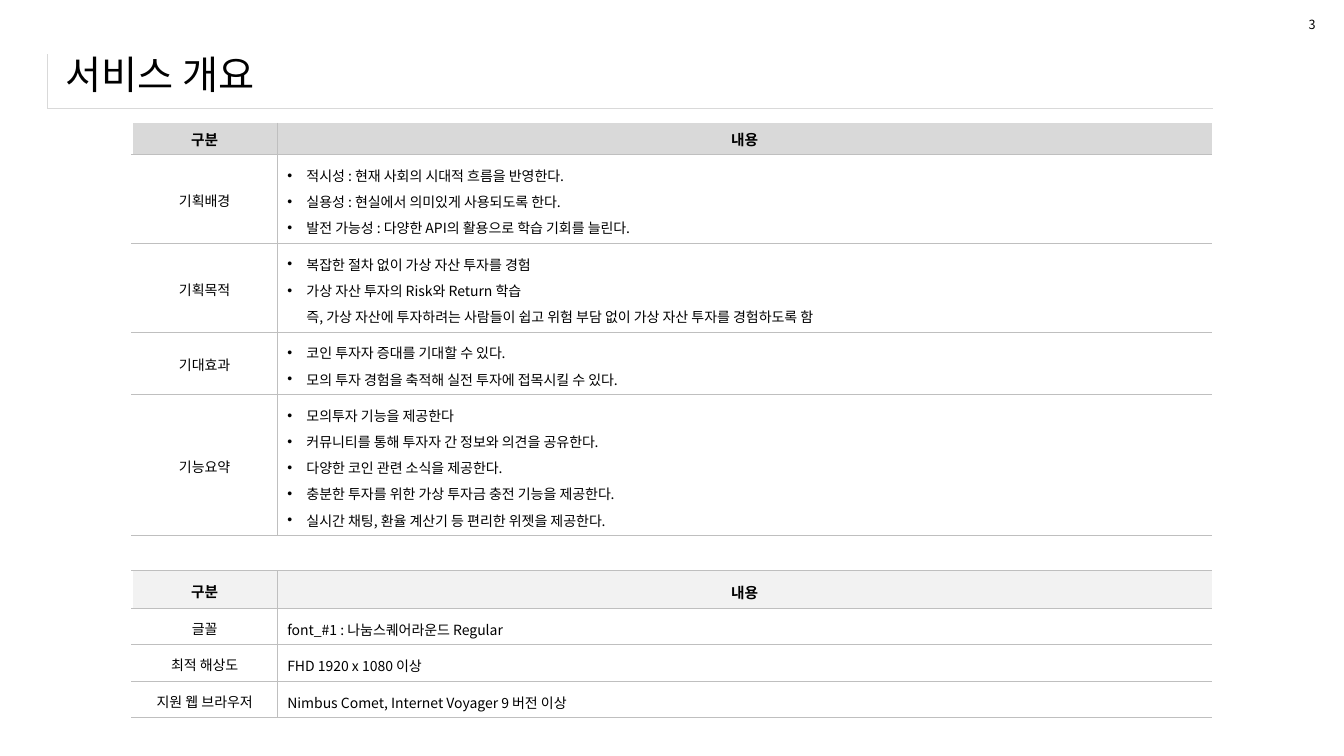
from lxml.etree import SubElement
from pptx import Presentation
from pptx.dml.color import RGBColor
from pptx.enum.text import MSO_ANCHOR, MSO_AUTO_SIZE, PP_ALIGN
from pptx.oxml.ns import qn
from pptx.util import Inches, Pt

FONT = "Noto Sans CJK KR"
BLACK = RGBColor(0x00, 0x00, 0x00)
WHITE = RGBColor(0xFF, 0xFF, 0xFF)
RULE_GREY = RGBColor(0xBF, 0xBF, 0xBF)
FRAME_GREY = RGBColor(0xD9, 0xD9, 0xD9)
PALE_GREY = RGBColor(0xF2, 0xF2, 0xF2)

TITLE = "서비스 개요"
PAGE_NUMBER = "3"
HEADINGS = ("구분", "내용")
BULLET, CONTINUED, PLAIN = "bullet", "continued", "plain"

# Label, row height, then (kind, text) lines
OVERVIEW = [
    ("기획배경", 0.84, [
        (BULLET, "적시성 : 현재 사회의 시대적 흐름을 반영한다."),
        (BULLET, "실용성 : 현실에서 의미있게 사용되도록 한다."),
        (BULLET, "발전 가능성 : 다양한 API의 활용으로 학습 기회를 늘린다."),
    ]),
    ("기획목적", 0.84, [
        (BULLET, "복잡한 절차 없이 가상 자산 투자를 경험"),
        (BULLET, "가상 자산 투자의 Risk와 Return 학습"),
        (CONTINUED, "즉, 가상 자산에 투자하려는 사람들이 쉽고 위험 부담 없이 "
                    "가상 자산 투자를 경험하도록 함"),
    ]),
    ("기대효과", 0.59, [
        (BULLET, "코인 투자자 증대를 기대할 수 있다."),
        (BULLET, "모의 투자 경험을 축적해 실전 투자에 접목시킬 수 있다."),
    ]),
    ("기능요약", 1.33, [
        (BULLET, "모의투자 기능을 제공한다"),
        (BULLET, "커뮤니티를 통해 투자자 간 정보와 의견을 공유한다."),
        (BULLET, "다양한 코인 관련 소식을 제공한다."),
        (BULLET, "충분한 투자를 위한 가상 투자금 충전 기능을 제공한다."),
        (BULLET, "실시간 채팅, 환율 계산기 등 편리한 위젯을 제공한다."),
    ]),
]
ENVIRONMENT = [
    ("글꼴", 0.34, [(PLAIN, "font_#1 : 나눔스퀘어라운드 Regular")]),
    ("최적 해상도", 0.34, [(PLAIN, "FHD 1920 x 1080 이상")]),
    ("지원 웹 브라우저", 0.34, [(PLAIN, "Nimbus Comet, Internet Voyager 9 버전 이상")]),
]
HEADER_HEIGHT, GAP_HEIGHT = 0.28, 0.35
COLUMN_WIDTHS = (1.44, 9.27)
HANGING = Inches(0.19)


def set_font(para, size, bold=False):
    """Format a paragraph for both Latin and Korean letters."""
    font = para.font
    font.size, font.bold, font.name = Pt(size), bold, FONT
    font.color.rgb = BLACK
    defaults = para._p.pPr.find(qn("a:defRPr"))
    SubElement(defaults, qn("a:ea")).set("typeface", FONT)


def write_cell(cell, lines, size, align, spacing, bold=False):
    cell.vertical_anchor = MSO_ANCHOR.MIDDLE
    frame = cell.text_frame
    for index, (kind, text) in enumerate(lines):
        para = frame.add_paragraph() if index else frame.paragraphs[0]
        para.text = text
        para.alignment, para.line_spacing = align, spacing
        if kind != PLAIN:
            properties = para._p.get_or_add_pPr()
            properties.set("marL", str(HANGING))
            properties.set("indent", str(-HANGING if kind == BULLET else 0))
            if kind == BULLET:
                SubElement(properties, qn("a:buFont")).set("typeface", "Arial")
                SubElement(properties, qn("a:buChar")).set("char", "•")
        set_font(para, size, bold)


def shrink_empty(cell):
    """Keep an empty cell from growing its row."""
    end = SubElement(cell.text_frame.paragraphs[0]._p, qn("a:endParaRPr"))
    end.set("sz", "1000")


def set_borders(cell, **sides):
    """Draw the given sides as (colour, points); leave the others empty."""
    properties = cell._tc.get_or_add_tcPr()
    for side in ("L", "R", "T", "B"):
        line = SubElement(properties, qn(f"a:ln{side}"))
        if side in sides:
            colour, points = sides[side]
            line.set("w", str(Pt(points)))
            fill = SubElement(line, qn("a:solidFill"))
            SubElement(fill, qn("a:srgbClr")).set("val", str(colour))
        else:
            SubElement(line, qn("a:noFill"))


def set_fill(cell, colour):
    if colour is None:
        cell.fill.background()
    else:
        cell.fill.solid()
        cell.fill.fore_color.rgb = colour


def add_plain_table(page, left, top, widths, heights):
    table = page.shapes.add_table(
        len(heights), len(widths), Inches(left), Inches(top),
        Inches(sum(widths)), Inches(sum(heights))).table
    table.first_row = table.horz_banding = False
    for column, width in zip(table.columns, widths):
        column.width = Inches(width)
    for row, height in zip(table.rows, heights):
        row.height = Inches(height)
    return table


def add_title_frame(page):
    cell = add_plain_table(page, 0.47, 0.54, [11.56], [0.53]).cell(0, 0)
    edge = (FRAME_GREY, 0.25)
    set_borders(cell, L=edge, B=edge)
    set_fill(cell, None)
    shrink_empty(cell)


def add_title(page):
    title = page.shapes.title
    title.left, title.top = Inches(0.55), Inches(0.4)
    title.width, title.height = Inches(12.49), Inches(0.67)
    frame = title.text_frame
    frame.text = TITLE
    frame.auto_size = MSO_AUTO_SIZE.NONE
    frame.vertical_anchor = MSO_ANCHOR.MIDDLE
    frame.paragraphs[0].alignment = PP_ALIGN.LEFT
    set_font(frame.paragraphs[0], 28)


def add_summary_table(page):
    header = ("header", HEADER_HEIGHT, None)
    gap = ("gap", GAP_HEIGHT, None)
    rows = [header, *OVERVIEW, gap, header, *ENVIRONMENT]
    gap_index = rows.index(gap)
    heights = [height for _, height, _ in rows]
    table = add_plain_table(page, 1.31, 1.22, COLUMN_WIDTHS, heights)

    rule = (RULE_GREY, 0.25)
    for index, (label, _, lines) in enumerate(rows):
        left, right = table.cell(index, 0), table.cell(index, 1)
        across = {"B": rule, "T": rule} if index else {"B": rule}
        divided = label != "gap"
        set_borders(left, L=(WHITE, 1), **({"R": rule} if divided else {}), **across)
        set_borders(right, **({"L": rule} if divided else {}), **across)

        shade = None
        if label == "header":
            first = index < gap_index
            shade = FRAME_GREY if first else PALE_GREY
            spacings = (1.0, 1.0) if first else (1.2, 1.3)
            for cell, heading, spacing in zip((left, right), HEADINGS, spacings):
                write_cell(cell, [(PLAIN, heading)], 10.5, PP_ALIGN.CENTER, spacing, True)
        elif label == "gap":
            shrink_empty(left)
            shrink_empty(right)
            left.merge(right)
        else:
            write_cell(left, [(PLAIN, label)], 10, PP_ALIGN.CENTER, 1.2)
            align = PP_ALIGN.LEFT if index > gap_index else PP_ALIGN.JUSTIFY
            write_cell(right, lines, 10, align, 1.3)
        set_fill(left, shade)
        set_fill(right, shade)


def add_page_number(page):
    box = page.shapes.add_textbox(Inches(12.88), Inches(0.12), Inches(0.27), Inches(0.25))
    frame = box.text_frame
    frame.word_wrap = False
    frame.auto_size = MSO_AUTO_SIZE.SHAPE_TO_FIT_TEXT
    frame.text = PAGE_NUMBER
    set_font(frame.paragraphs[0], 9)


def main():
    deck = Presentation()
    deck.slide_width, deck.slide_height = Inches(13.33), Inches(7.5)
    page = deck.slides.add_slide(deck.slide_layouts[5])
    add_title_frame(page)
    add_title(page)
    add_summary_table(page)
    add_page_number(page)
    deck.save("out.pptx")


if __name__ == "__main__":
    main()
